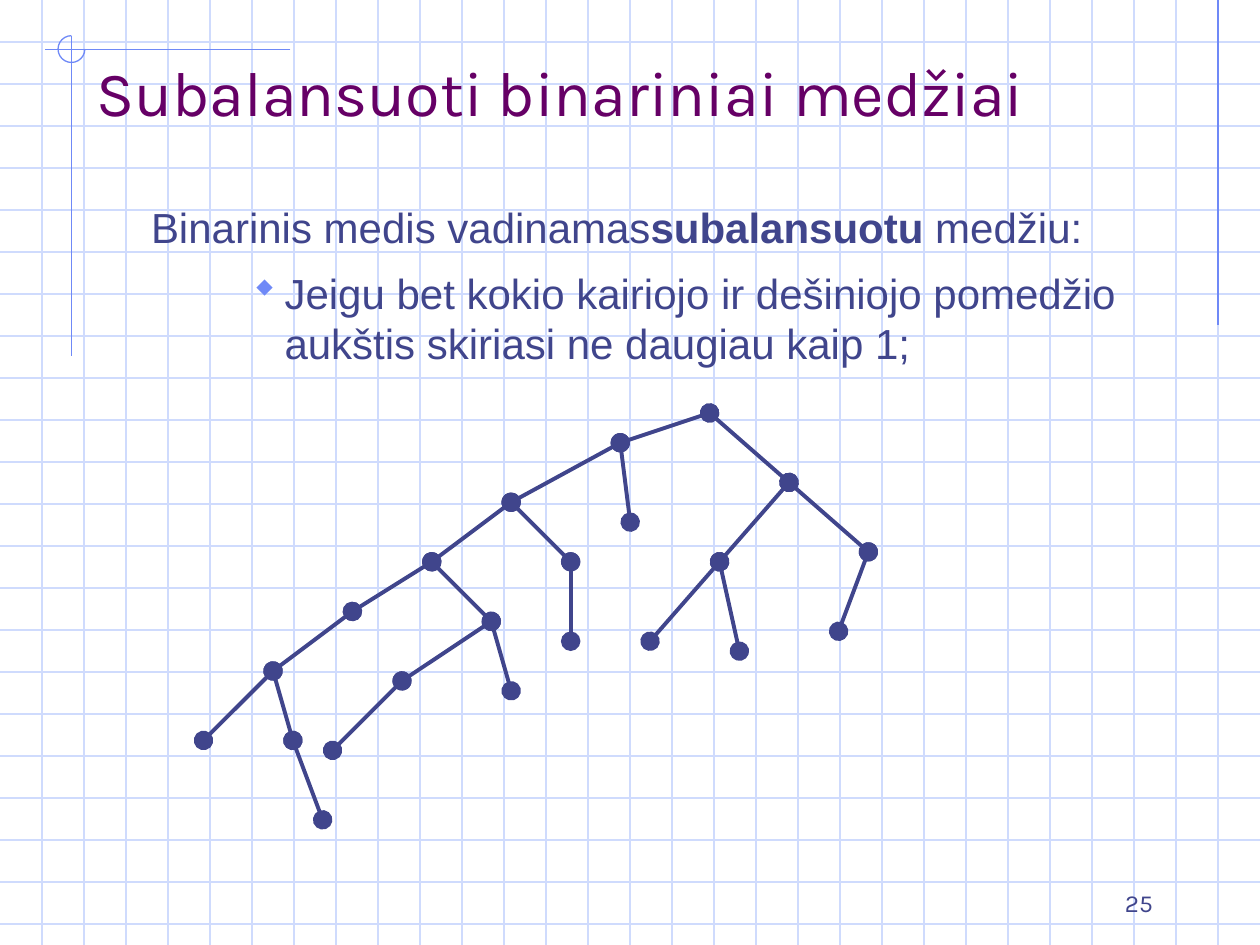
from lxml import etree
from pptx import Presentation
from pptx.dml.color import RGBColor
from pptx.enum.shapes import MSO_CONNECTOR, MSO_SHAPE
from pptx.enum.text import MSO_ANCHOR, PP_ALIGN
from pptx.oxml.ns import qn
from pptx.util import Pt

STRAIGHT = MSO_CONNECTOR.STRAIGHT
ARC = MSO_SHAPE.ARC
TOP, BOTTOM = MSO_ANCHOR.TOP, MSO_ANCHOR.BOTTOM
LEFT, RIGHT = PP_ALIGN.LEFT, PP_ALIGN.RIGHT

GRID = RGBColor(0xCF, 0xDB, 0xFD)
ACCENT = RGBColor(0x6F, 0x89, 0xF7)
INK = RGBColor(0x40, 0x45, 0x8C)
PURPLE = RGBColor(0x66, 0x00, 0x66)

WIDTH, HEIGHT = 720, 540
GRID_STEP = 24
DIAMOND = "w"  # the diamond ⬥ in Wingdings

# Tree nodes: (x, y) in units from the root
TREE_UNIT = 5.67
ROOT_X, ROOT_Y = 405.5, 236
NODES = {
    "root": (0, 0),
    "l": (-9, 3), "r": (8, 7),
    "ll": (-20, 9), "lr": (-8, 11), "rl": (1, 15), "rr": (16, 14),
    "lll": (-28, 15), "llr": (-14, 15),
    "rll": (-6, 23), "rlr": (3, 24), "rrl": (13, 22),
    "llll": (-36, 20), "lllr": (-22, 21), "llrl": (-14, 23),
    "lllll": (-44, 26), "lllrl": (-31, 27), "lllrr": (-20, 28),
    "llllll": (-51, 33), "lllllr": (-42, 33), "lllrll": (-38, 34),
    "lllllrr": (-39, 41),
}


def add_line(slide, x1, y1, x2, y2, color, width=0.75, dots=False):
    s = slide.shapes.add_connector(STRAIGHT, Pt(x1), Pt(y1), Pt(x2), Pt(y2))
    s.line.color.rgb = color
    s.line.width = Pt(width)
    if dots:
        ln = s.line._get_or_add_ln()
        for end in ("a:headEnd", "a:tailEnd"):
            etree.SubElement(ln, qn(end), type="oval", w="lg", len="lg")
    etree.SubElement(s._element.spPr, qn("a:effectLst"))


def add_box(slide, x, y, w, h, anchor):
    tf = slide.shapes.add_textbox(Pt(x), Pt(y), Pt(w), Pt(h)).text_frame
    tf.word_wrap = True
    tf.vertical_anchor = anchor
    return tf


def add_text(p, text, size=24, font="Arial", color=INK, bold=False, align=LEFT):
    p.alignment = align
    r = p.add_run()
    r.text = text
    r.font.size = Pt(size)
    r.font.name = font
    r.font.color.rgb = color
    r.font.bold = bold


def set_indent(p, left, first=0):
    pPr = p._p.get_or_add_pPr()
    pPr.set("marL", str(Pt(left)))
    pPr.set("indent", str(Pt(first)))
    return pPr


def add_bullet(pPr, char, font, color, percent):
    bu_color = etree.SubElement(pPr, qn("a:buClr"))
    etree.SubElement(bu_color, qn("a:srgbClr"), val=str(color))
    etree.SubElement(pPr, qn("a:buSzPct"), val=str(percent * 1000))
    etree.SubElement(pPr, qn("a:buFont"), typeface=font, charset="2")
    etree.SubElement(pPr, qn("a:buChar"), char=char)


def add_background(slide):
    # Squared paper
    for y in range(GRID_STEP, HEIGHT, GRID_STEP):
        add_line(slide, 0, y, WIDTH, y, GRID)
    for x in range(GRID_STEP, WIDTH, GRID_STEP):
        add_line(slide, x, 0, x, HEIGHT, GRID)

    # Corner rules and three-quarter circle
    add_line(slide, 696, 0, 696, 186, ACCENT)
    add_line(slide, 166, 28.2, 25.5, 28.2, ACCENT)
    add_line(slide, 40.8, 20.5, 40.8, 203.5, ACCENT)
    s = slide.shapes.add_shape(ARC, Pt(33.2), Pt(20.4), Pt(15.3), Pt(15.3))
    s.adjustments[0] = 0
    s.adjustments[1] = 162  # 270 degrees
    s.fill.background()
    s.line.color.rgb = ACCENT
    s.line.width = Pt(0.75)
    s.shadow.inherit = False


def add_body(slide):
    tf = add_box(slide, 64.8, 111.5, 635, 324, TOP)
    p = tf.paragraphs[0]
    set_indent(p, 14.4)
    add_text(p, "Binarinis medis vadinamas")
    add_text(p, "subalansuotu", bold=True)
    add_text(p, " medžiu:")

    p = tf.add_paragraph()
    p.space_before = Pt(9)
    add_bullet(set_indent(p, 90.7, -18), DIAMOND, "Wingdings", ACCENT, 95)
    add_text(p, "Jeigu bet kokio kairiojo ir dešiniojo pomedžio "
                "aukštis skiriasi ne daugiau kaip 1;")


def node_point(name):
    x, y = NODES[name]
    return ROOT_X + x * TREE_UNIT, ROOT_Y + y * TREE_UNIT


def add_tree(slide):
    # A node's parent has the same name without its last letter
    for name in NODES:
        if name != "root":
            parent = name[:-1] or "root"
            add_line(slide, *node_point(name), *node_point(parent), INK, 2.25, dots=True)


def main():
    prs = Presentation()
    prs.slide_width, prs.slide_height = Pt(WIDTH), Pt(HEIGHT)
    slide = prs.slides.add_slide(prs.slide_layouts[6])

    add_background(slide)

    # Slide number and title
    tf = add_box(slide, 516, 492, 150, 36, BOTTOM)
    add_text(tf.paragraphs[0], "25", size=14, font="Karla", align=RIGHT)
    tf = add_box(slide, 48, 24, 612, 53.5, BOTTOM)
    add_text(tf.paragraphs[0], "Subalansuoti binariniai medžiai",
             size=36, font="Karla", color=PURPLE)

    add_body(slide)
    add_tree(slide)
    prs.save("out.pptx")


if __name__ == "__main__":
    main()
